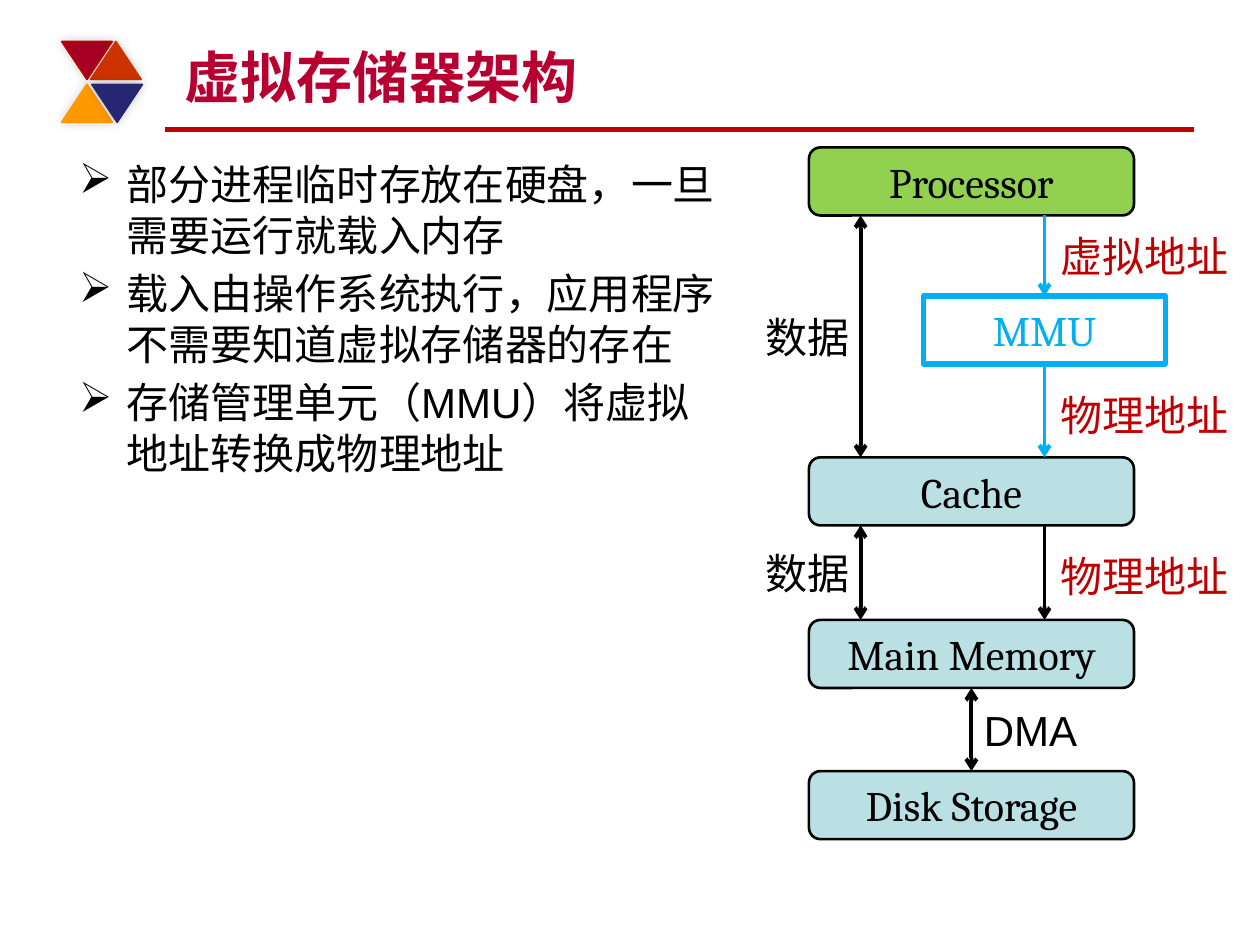
from dataclasses import dataclass
from typing import Optional

from lxml import etree
from pptx import Presentation
from pptx.dml.color import RGBColor
from pptx.enum.shapes import MSO_CONNECTOR, MSO_SHAPE
from pptx.enum.text import MSO_ANCHOR, PP_ALIGN
from pptx.oxml import parse_xml
from pptx.oxml.ns import nsdecls, qn
from pptx.util import Inches, Pt

STRAIGHT = MSO_CONNECTOR.STRAIGHT
TRIANGLE = MSO_SHAPE.ISOSCELES_TRIANGLE
ROUNDED = MSO_SHAPE.ROUNDED_RECTANGLE
MIDDLE, BOTTOM_ANCHOR = MSO_ANCHOR.MIDDLE, MSO_ANCHOR.BOTTOM
CENTER, LEFT_ALIGN = PP_ALIGN.CENTER, PP_ALIGN.LEFT
TOP_SITE, BOTTOM_SITE = 0, 2

BLACK = RGBColor(0x00, 0x00, 0x00)
RED = RGBColor(0xC0, 0x00, 0x00)
TITLE_RED = RGBColor(0xB7, 0x00, 0x31)
GREEN = RGBColor(0x92, 0xD0, 0x50)
PALE_BLUE = RGBColor(0xBB, 0xE0, 0xE3)
BRIGHT_BLUE = RGBColor(0x00, 0xB0, 0xF0)
CRIMSON = RGBColor(0xA5, 0x00, 0x21)
ORANGE_RED = RGBColor(0xCC, 0x33, 0x00)
AMBER = RGBColor(0xFF, 0x99, 0x00)
NAVY = RGBColor(0x26, 0x26, 0x73)

BODY_FORMAT = {"name": "Arial", "size": Pt(24), "bold": False}
TITLE_FORMAT = {"name": "Arial", "size": Pt(32), "bold": True}
UNIT_FORMAT = {"name": "Cambria", "size": Pt(24), "bold": False}
UNIT_HEIGHT = 0.54


@dataclass
class Triangle:
    left: float
    top: float
    rotation: int
    fill: RGBColor
    line: RGBColor


@dataclass
class Unit:
    text: str
    top: float
    fill: Optional[RGBColor] = PALE_BLUE
    color: RGBColor = BLACK
    line_width: float = 1.5
    left: float = 6.42
    width: float = 2.58
    corner: float = 0.17


@dataclass
class Arrow:
    x: float
    start: str
    end: str
    color: RGBColor = BLACK
    double: bool = False
    join_start: bool = False
    join_end: bool = False


@dataclass
class Label:
    text: str
    left: float
    top: float
    width: float
    color: RGBColor = BLACK


TRIANGLES = [
    Triangle(0.49, 0.33, 180, CRIMSON, RED),
    Triangle(0.72, 0.33, 0, ORANGE_RED, ORANGE_RED),
    Triangle(0.49, 0.67, 0, AMBER, AMBER),
    Triangle(0.73, 0.67, 180, NAVY, NAVY),
]
UNITS = [
    Unit("Processor", 1.17, GREEN),
    Unit("Cache", 3.63),
    Unit("Main Memory", 4.92),
    Unit("Disk Storage", 6.12),
    Unit("MMU", 2.35, None, BRIGHT_BLUE, 3, 7.33, 1.92, 0),
]
ARROWS = [
    Arrow(6.83, "Processor", "Cache", double=True),
    Arrow(6.83, "Cache", "Main Memory", double=True),
    Arrow(7.71, "Main Memory", "Disk Storage", double=True, join_start=True, join_end=True),
    Arrow(8.29, "Processor", "MMU", BRIGHT_BLUE, join_end=True),
    Arrow(8.29, "MMU", "Cache", BRIGHT_BLUE, join_start=True),
    Arrow(8.29, "Cache", "Main Memory"),
]
LABELS = [
    Label("数据", 5.98, 2.42, 1.05),
    Label("虚拟地址", 8.32, 1.78, 1.6, RED),
    Label("物理地址", 8.32, 3.04, 1.6, RED),
    Label("数据", 5.98, 4.3, 1.05),
    Label("物理地址", 8.32, 4.32, 1.6, RED),
    Label("DMA", 7.71, 5.54, 1.04),
]
POINTS = [
    "部分进程临时存放在硬盘，一旦需要运行就载入内存",
    "载入由操作系统执行，应用程序不需要知道虚拟存储器的存在",
    "存储管理单元（MMU）将虚拟地址转换成物理地址",
]


def write(paragraph, text: str, formats: dict, color: RGBColor, alignment=LEFT_ALIGN) -> None:
    """Put formatted text in a paragraph."""
    paragraph.alignment = alignment
    run = paragraph.add_run()
    run.text = text
    for name, value in formats.items():
        setattr(run.font, name, value)
    run.font.color.rgb = color


def add_text_frame(slide, left: float, top: float, width: float, height: float):
    """Add a wrapping text box and return its frame."""
    box = slide.shapes.add_textbox(Inches(left), Inches(top), Inches(width), Inches(height))
    box.text_frame.word_wrap = True
    return box.text_frame


def add_line(slide, x1: float, y1: float, x2: float, y2: float, color: RGBColor, width: float):
    """Add a straight line without a shadow."""
    line = slide.shapes.add_connector(STRAIGHT, Inches(x1), Inches(y1), Inches(x2), Inches(y2))
    line.line.color.rgb = color
    line.line.width = Pt(width)
    etree.SubElement(line._element.spPr, qn("a:effectLst"))
    return line


def add_triangle(slide, triangle: Triangle) -> None:
    """Draw one softly shadowed triangle of the ornament."""
    shape = slide.shapes.add_shape(
        TRIANGLE, Inches(triangle.left), Inches(triangle.top), Inches(0.4), Inches(0.3))
    shape.rotation = triangle.rotation
    shape.fill.solid()
    shape.fill.fore_color.rgb = triangle.fill
    shape.line.color.rgb = triangle.line
    shape.line.width = Pt(1)
    shape.shadow.inherit = False
    shape._element.spPr.find(qn("a:effectLst")).append(parse_xml(
        f'<a:outerShdw {nsdecls("a")} blurRad="{Pt(6)}" dist="0" dir="18900000">'
        '<a:srgbClr val="000000"><a:alpha val="20000"/></a:srgbClr></a:outerShdw>'))


def add_unit(slide, unit: Unit):
    """Draw one hardware unit with its name."""
    shape = slide.shapes.add_shape(
        ROUNDED, Inches(unit.left), Inches(unit.top), Inches(unit.width), Inches(UNIT_HEIGHT))
    shape.adjustments[0] = unit.corner
    shape.shadow.inherit = False
    if unit.fill is None:
        shape.fill.background()
    else:
        shape.fill.solid()
        shape.fill.fore_color.rgb = unit.fill
    shape.line.color.rgb = unit.color
    shape.line.width = Pt(unit.line_width)
    shape.text_frame.vertical_anchor = MIDDLE
    write(shape.text_frame.paragraphs[0], unit.text, UNIT_FORMAT, unit.color, CENTER)
    return shape


def add_arrow(slide, arrow: Arrow, units: dict, shapes: dict) -> None:
    """Draw a vertical arrow between two units."""
    start_y = units[arrow.start].top + UNIT_HEIGHT
    end_y = units[arrow.end].top
    connector = add_line(slide, arrow.x, start_y, arrow.x, end_y, arrow.color, 2.25)
    if arrow.join_start:
        connector.begin_connect(shapes[arrow.start], BOTTOM_SITE)
    if arrow.join_end:
        connector.end_connect(shapes[arrow.end], TOP_SITE)
    for tag in ["a:headEnd", "a:tailEnd"] if arrow.double else ["a:tailEnd"]:
        etree.SubElement(connector.line._get_or_add_ln(), qn(tag), type="arrow")


def add_points(slide) -> None:
    """Write the bulleted points."""
    frame = add_text_frame(slide, 0.53, 1.21, 5.26, 5.96)
    for index, text in enumerate(POINTS):
        paragraph = frame.add_paragraph() if index else frame.paragraphs[0]
        properties = paragraph._p.get_or_add_pPr()
        properties.set("marL", str(Inches(0.38)))
        properties.set("indent", str(-Inches(0.38)))
        etree.SubElement(properties, qn("a:buChar"), char="➢")
        paragraph.space_before = Pt(4.8 if index else 0)
        write(paragraph, text, BODY_FORMAT, BLACK)


def main() -> None:
    """Build and save the slide."""
    presentation = Presentation()
    presentation.slide_width, presentation.slide_height = Inches(10), Inches(7.5)
    slide = presentation.slides.add_slide(presentation.slide_layouts[6])
    add_line(slide, 1.31, 1.03, 9.48, 1.03, RED, 3)
    for triangle in TRIANGLES:
        add_triangle(slide, triangle)
    add_points(slide)
    title = add_text_frame(slide, 1.37, 0.25, 8, 0.67)
    title.vertical_anchor = BOTTOM_ANCHOR
    write(title.paragraphs[0], "虚拟存储器架构", TITLE_FORMAT, TITLE_RED)
    units = {unit.text: unit for unit in UNITS}
    shapes = {unit.text: add_unit(slide, unit) for unit in UNITS}
    for arrow in ARROWS:
        add_arrow(slide, arrow, units, shapes)
    for label in LABELS:
        frame = add_text_frame(slide, label.left, label.top, label.width, 0.5)
        write(frame.paragraphs[0], label.text, BODY_FORMAT, label.color)
    presentation.save("out.pptx")


if __name__ == "__main__":
    main()
